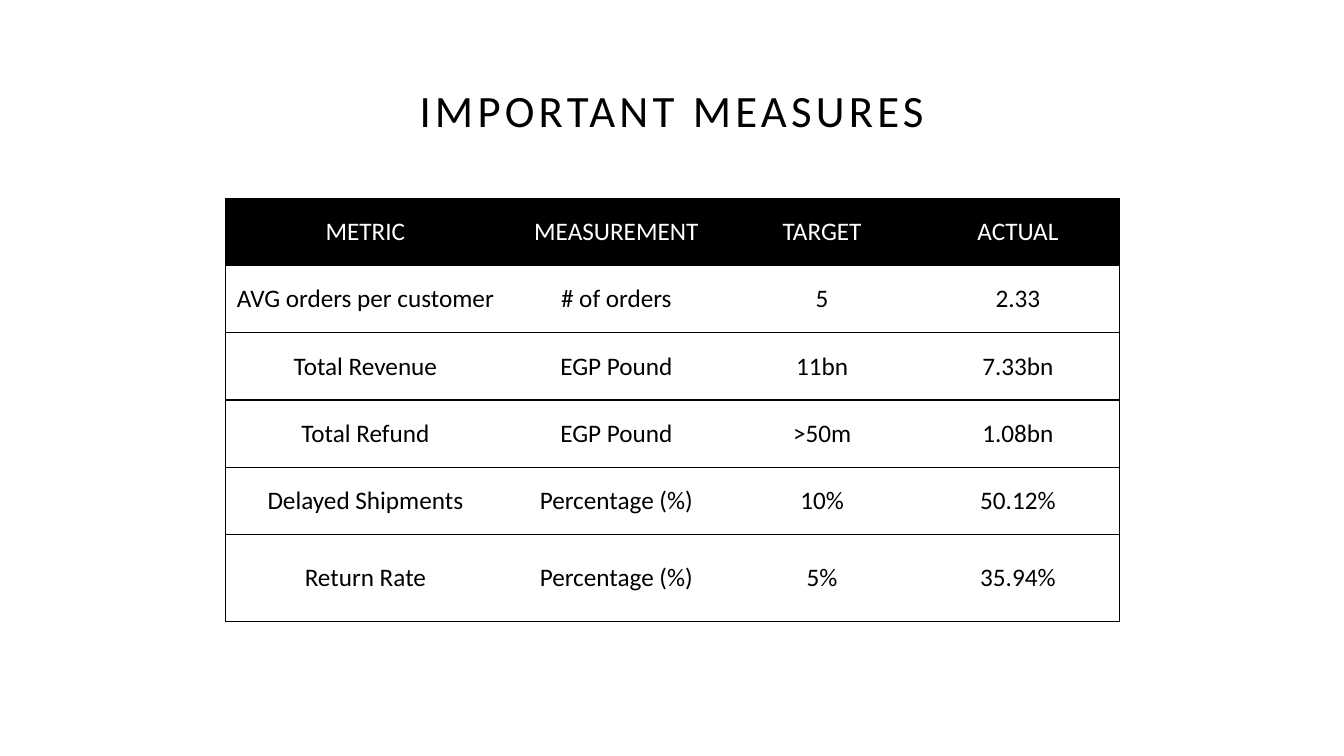
from pptx import Presentation, util as u
from pptx.dml import color
from pptx.enum import text
from pptx.oxml import parse_xml
from pptx.oxml import ns

PX = 9525
COLORS = {"ink": "000000", "paper": "FFFFFF"}
TITLE_FORMAT = {"name": "Calibri", "size": u.Pt(32), "bold": False}
CELL_FORMAT = {"name": "Calibri", "size": u.Pt(18), "bold": False}
COLUMN_WIDTHS = [266, 212, 180, 193]
ROW_HEIGHTS = [64] * 5 + [83]
MEASURES = [
    ["METRIC", "MEASUREMENT", "TARGET", "ACTUAL"],
    ["AVG orders per customer", "# of orders", "5", "2.33"],
    ["Total Revenue", "EGP Pound", "11bn", "7.33bn"],
    ["Total Refund", "EGP Pound", ">50m", "1.08bn"],
    ["Delayed Shipments", "Percentage (%)", "10%", "50.12%"],
    ["Return Rate", "Percentage (%)", "5%", "35.94%"],
]


def write(paragraph, words, formats, ink):
    paragraph.alignment = text.PP_ALIGN.CENTER
    run = paragraph.add_run()
    run.text = words
    for key, value in formats.items():
        setattr(run.font, key, value)
    run.font.color.rgb = color.RGBColor.from_string(COLORS[ink])
    return run


def add_border(cell, side, visible):
    paint = f'<a:solidFill><a:srgbClr val="{COLORS["ink"]}"/></a:solidFill>' if visible else "<a:noFill/>"
    cell._tc.get_or_add_tcPr().append(
        parse_xml(f'<a:ln{side} {ns.nsdecls("a")} w="12700">{paint}</a:ln{side}>')
    )


deck = Presentation()
deck.slide_width, deck.slide_height = 1280 * PX, 720 * PX
slide = deck.slides.add_slide(deck.slide_layouts[6])

heading = slide.shapes.add_textbox(88 * PX, 38 * PX, 1104 * PX, 139 * PX).text_frame
heading.word_wrap = True
heading.vertical_anchor = text.MSO_ANCHOR.MIDDLE
heading.paragraphs[0].line_spacing = 0.9
heading_run = write(heading.paragraphs[0], "IMPORTANT MEASURES", TITLE_FORMAT, "ink")
heading_run._r.get_or_add_rPr().set("spc", "300")

measures = slide.shapes.add_table(
    len(ROW_HEIGHTS), len(COLUMN_WIDTHS), 215 * PX, 189 * PX,
    sum(COLUMN_WIDTHS) * PX, sum(ROW_HEIGHTS) * PX,
).table
measures.first_row = False
measures.horz_banding = False
for column, width in zip(measures.columns, COLUMN_WIDTHS):
    column.width = width * PX
for row, height in zip(measures.rows, ROW_HEIGHTS):
    row.height = height * PX

last_column = len(COLUMN_WIDTHS) - 1
for r, entries in enumerate(MEASURES):
    ink, ground = ("ink", "paper") if r else ("paper", "ink")
    for c, entry in enumerate(entries):
        cell = measures.cell(r, c)
        cell.vertical_anchor = text.MSO_ANCHOR.MIDDLE
        write(cell.text_frame.paragraphs[0], entry, CELL_FORMAT, ink)
        for side, visible in {"L": c == 0, "R": c == last_column, "T": True, "B": True}.items():
            add_border(cell, side, visible)
        cell.fill.solid()
        cell.fill.fore_color.rgb = color.RGBColor.from_string(COLORS[ground])

deck.save("out.pptx")
